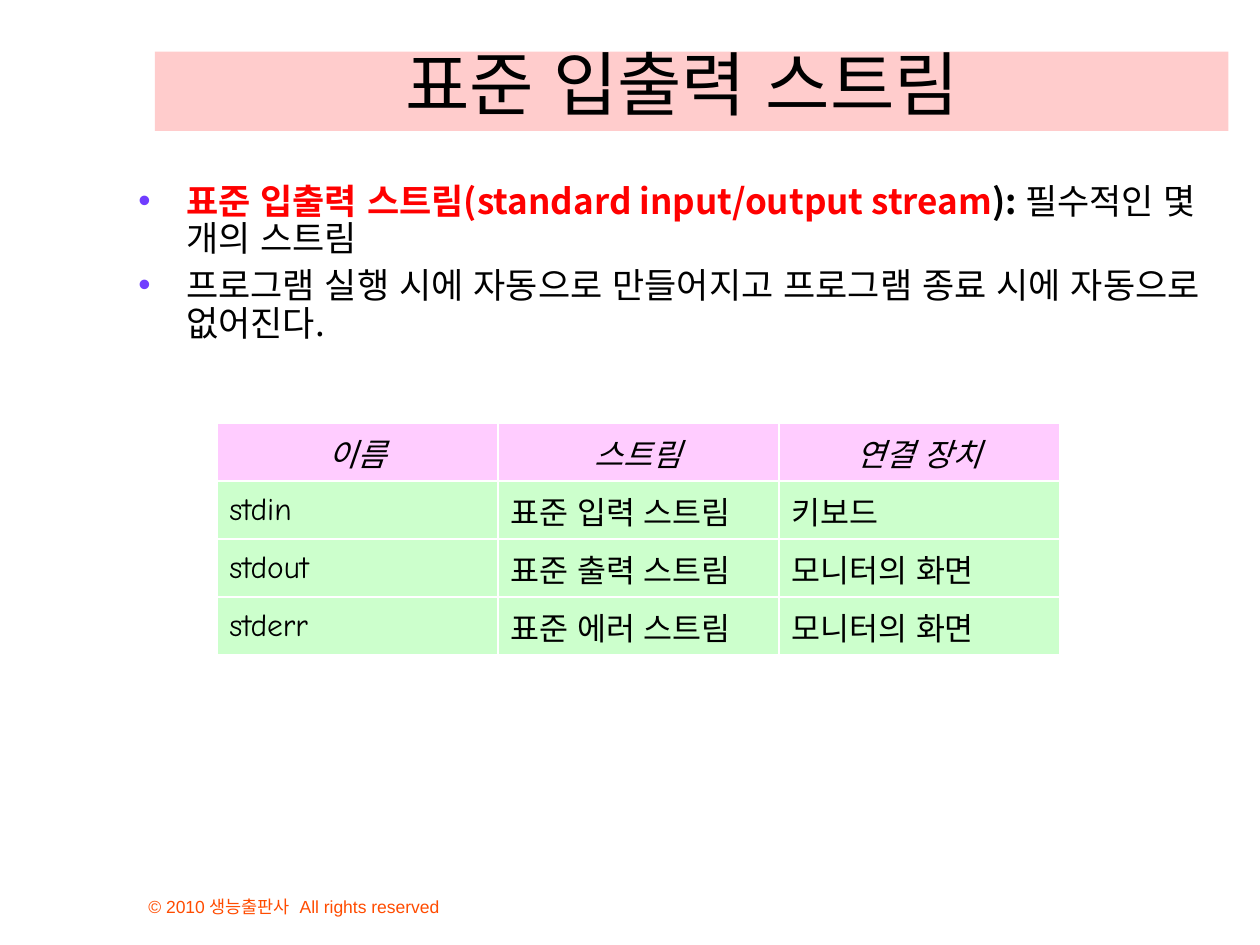
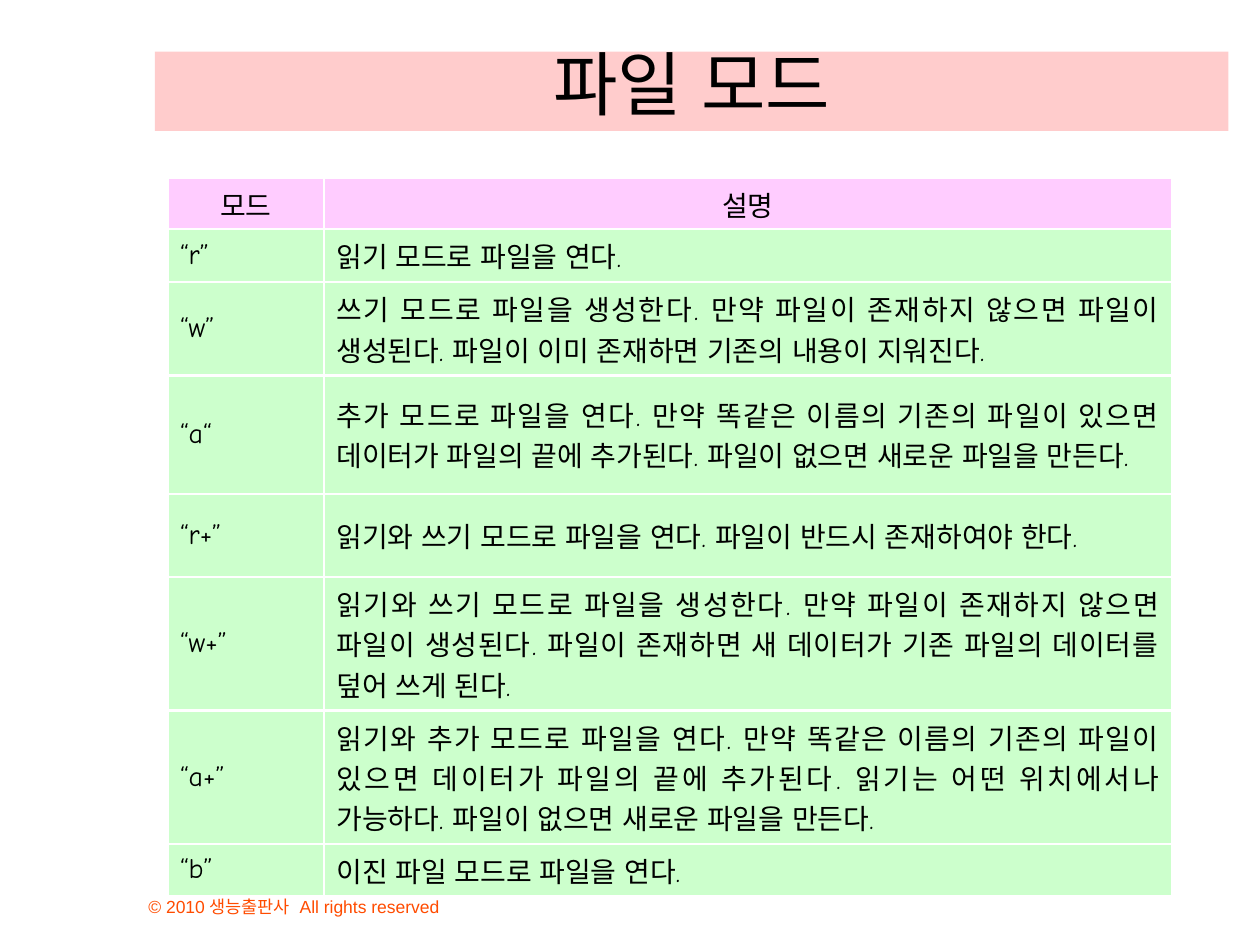
from lxml.etree import SubElement
from pptx import Presentation
from pptx.dml.color import RGBColor
from pptx.enum.lang import MSO_LANGUAGE_ID
from pptx.enum.shapes import MSO_SHAPE
from pptx.enum.text import MSO_ANCHOR, PP_ALIGN
from pptx.oxml.ns import qn
from pptx.util import Inches, Pt

COLORS = {
    "band": "FFCCCC",
    "head": "FFCCFF",
    "cell": "CCFFCC",
    "rule": "FFFFFF",
    "text": "000000",
    "key": "FF0000",
    "bullet": "703DFF",
    "foot": "FF4C00",
}
LATIN = "Comic Neue"
HANGUL = "Noto Sans CJK KR"
PLAIN = "Arial"
FOOTER = "© 2010 생능출판사  All rights reserved"

STREAMS = [
    ("이름", "스트림", "연결 장치"),
    ("stdin", "표준 입력 스트림", "키보드"),
    ("stdout", "표준 출력 스트림", "모니터의 화면"),
    ("stderr", "표준 에러 스트림", "모니터의 화면"),
]
POINTS = [
    [
        ("표준 입출력 스트림(standard input/output stream", "key", True),
        ("): ", "text", True),
        ("필수적인 몇 개의 스트림", "text", False),
    ],
    [("프로그램 실행 시에 자동으로 만들어지고 프로그램 종료 시에 자동으로 없어진다.", "text", False)],
]
MODES = [
    ("모드", "설명"),
    ("“r”", "읽기 모드로 파일을 연다."),
    ("“w”", "쓰기 모드로 파일을 생성한다. 만약 파일이 존재하지 않으면 파일이 생성된다. "
            "파일이 이미 존재하면 기존의 내용이 지워진다."),
    ("“a“", "추가 모드로 파일을 연다. 만약 똑같은 이름의 기존의 파일이 있으면 "
            "데이터가 파일의 끝에 추가된다. 파일이 없으면 새로운 파일을 만든다."),
    ("“r+”", "읽기와 쓰기 모드로 파일을 연다. 파일이 반드시 존재하여야 한다."),
    ("“w+”", "읽기와 쓰기 모드로 파일을 생성한다. 만약 파일이 존재하지 않으면 파일이 생성된다. "
             "파일이 존재하면 새 데이터가 기존 파일의 데이터를 덮어 쓰게 된다."),
    ("“a+”", "읽기와 추가 모드로 파일을 연다. 만약 똑같은 이름의 기존의 파일이 있으면 "
             "데이터가 파일의 끝에 추가된다. 읽기는 어떤 위치에서나 가능하다. "
             "파일이 없으면 새로운 파일을 만든다."),
    ("“b”", "이진 파일 모드로 파일을 연다."),
]


def color(name):
    return RGBColor.from_string(COLORS[name])


class Deck:
    def __init__(self):
        self.prs = Presentation()
        self.prs.slide_width = Inches(10)
        self.prs.slide_height = Inches(7.5)
        self.slide = None

    def start(self, title):
        """Add a slide with the footer and the title band."""
        self.slide = self.prs.slides.add_slide(self.prs.slide_layouts[6])
        foot = self.frame(1.08, 6.91, 3.83, 0.42)
        foot.vertical_anchor = MSO_ANCHOR.BOTTOM
        foot.text = FOOTER
        self.style(foot.paragraphs[0], 10, "foot", PLAIN)

        band = self.slide.shapes.add_shape(
            MSO_SHAPE.RECTANGLE, Inches(1.23), Inches(0.41), Inches(8.52), Inches(0.63))
        band.shadow.inherit = False
        band.fill.solid()
        band.fill.fore_color.rgb = color("band")
        band.line.fill.background()
        text = band.text_frame
        text.vertical_anchor = MSO_ANCHOR.BOTTOM
        text.text = title
        self.style(text.paragraphs[0], 40, align=PP_ALIGN.CENTER)

    def frame(self, left, top, width, height):
        box = self.slide.shapes.add_textbox(
            Inches(left), Inches(top), Inches(width), Inches(height))
        box.text_frame.word_wrap = True
        return box.text_frame

    def style(self, para, size, tint="text", face=LATIN, align=PP_ALIGN.LEFT):
        para.alignment = align
        font = para.font
        font.size = Pt(size)
        font.name = face
        font.bold = False
        font.language_id = MSO_LANGUAGE_ID.KOREAN
        font.color.rgb = color(tint)
        props = para._p.get_or_add_pPr().find(qn("a:defRPr"))
        SubElement(props, qn("a:ea"), typeface=HANGUL)

    def bullets(self, left, top, width, height, points):
        text = self.frame(left, top, width, height)
        for i, point in enumerate(points):
            para = text.add_paragraph() if i else text.paragraphs[0]
            props = para._p.get_or_add_pPr()
            props.set("marL", str(Inches(0.38)))
            props.set("indent", str(-Inches(0.38)))
            tint = SubElement(props, qn("a:buClr"))
            SubElement(tint, qn("a:srgbClr"), val=COLORS["bullet"])
            SubElement(props, qn("a:buFont"), typeface=PLAIN)
            SubElement(props, qn("a:buChar"), char="•")
            para.line_spacing = 0.9
            para.space_before = Pt(5 if i else 0)
            self.style(para, 20, face=HANGUL)
            for words, name, bold in point:
                run = para.add_run()
                run.text = words
                run.font.bold = bold
                run.font.color.rgb = color(name)

    def table(self, left, top, cols, rows, data, size, align, slant=False):
        """Draw a grid whose first row is the header."""
        grid = self.slide.shapes.add_table(
            len(rows), len(cols), Inches(left), Inches(top),
            Inches(sum(cols)), Inches(sum(rows))).table
        grid.first_row = grid.horz_banding = False
        for col, width in zip(grid.columns, cols):
            col.width = Inches(width)
        for r, (row, height) in enumerate(zip(grid.rows, rows)):
            row.height = Inches(height)
            for cell, words in zip(row.cells, data[r]):
                self.rules(cell)
                cell.fill.solid()
                cell.fill.fore_color.rgb = color("cell" if r else "head")
                cell.vertical_anchor = MSO_ANCHOR.MIDDLE
                cell.text = words
                para = cell.text_frame.paragraphs[0]
                self.style(para, size, align=align if r else PP_ALIGN.CENTER)
                para.font.italic = slant and r == 0

    def rules(self, cell):
        props = cell._tc.get_or_add_tcPr()
        for side in "LRTB":
            line = SubElement(props, qn(f"a:ln{side}"), w=str(Pt(1.5)))
            fill = SubElement(line, qn("a:solidFill"))
            SubElement(fill, qn("a:srgbClr"), val=COLORS["rule"])


def main():
    deck = Deck()

    deck.start("표준 입출력 스트림 ")
    deck.table(1.72, 3.36, [2.23] * 3, [0.46] * 4, STREAMS, 18, PP_ALIGN.LEFT, slant=True)
    deck.bullets(1, 1.41, 9, 3.26, POINTS)

    deck.start("파일 모드")
    heights = [0.41, 0.42, 0.74, 0.94, 0.66, 1.06, 1.06, 0.41]
    deck.table(1.33, 1.41, [1.24, 6.73], heights, MODES, 16, PP_ALIGN.JUSTIFY)

    deck.prs.save("out.pptx")


if __name__ == "__main__":
    main()
